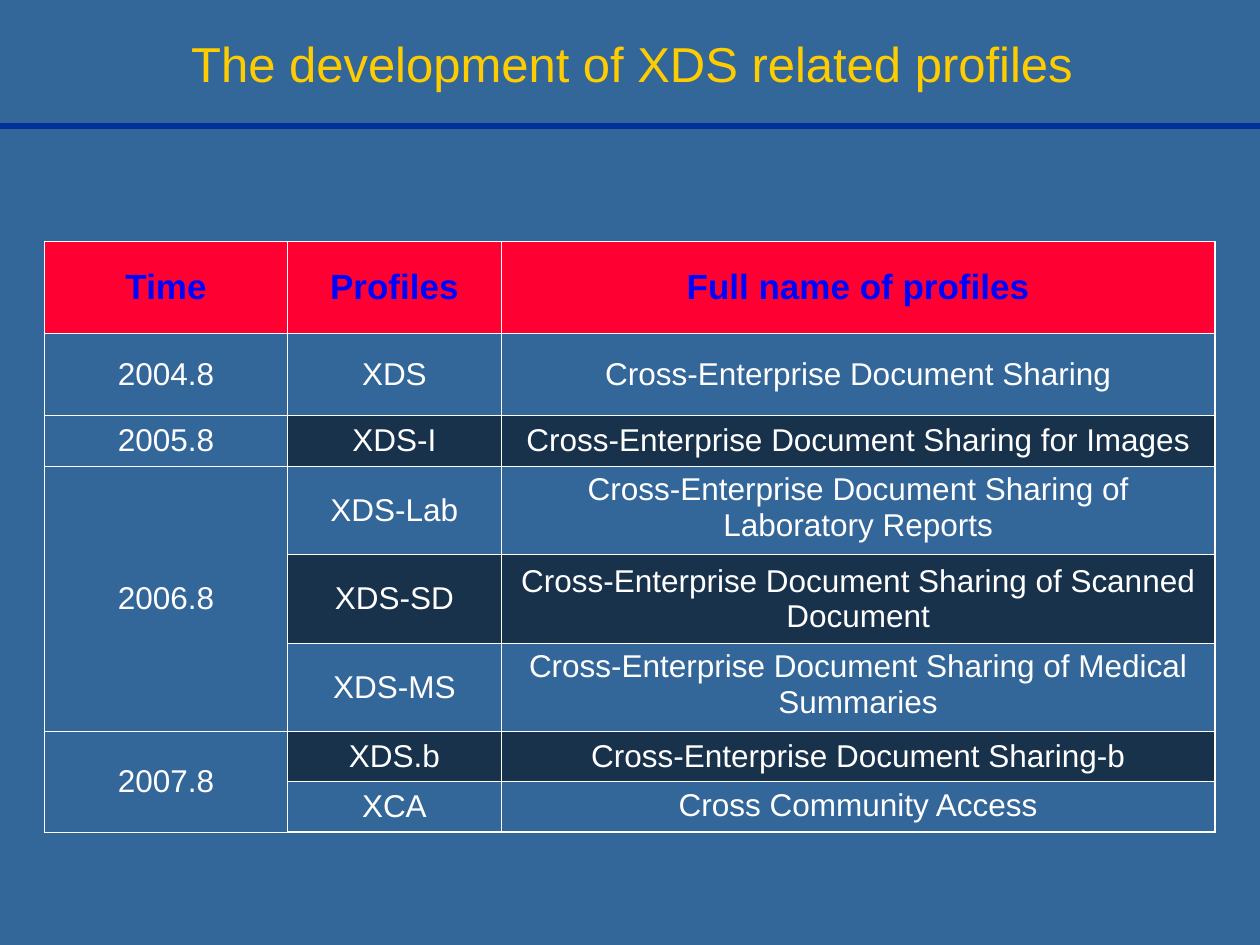
"""Build a slide with a table of XDS related profiles by date."""
from dataclasses import dataclass

from lxml import etree
from pptx import Presentation
from pptx.dml.color import RGBColor
from pptx.enum.shapes import MSO_CONNECTOR
from pptx.enum.text import MSO_ANCHOR, PP_ALIGN
from pptx.oxml.ns import qn
from pptx.slide import Slide
from pptx.table import Table, _Cell
from pptx.text.text import TextFrame
from pptx.util import Pt

STRAIGHT = MSO_CONNECTOR.STRAIGHT
MIDDLE, TOP = MSO_ANCHOR.MIDDLE, MSO_ANCHOR.TOP
CENTER = PP_ALIGN.CENTER

COLORS = {
    "background": "336699",
    "rule": "003399",
    "title": "FFCC00",
    "header_fill": "FF0033",
    "header_text": "0000FF",
    "shade": "000000",
    "text": "FFFFFF",
    "border": "FFFFFF",
}
FONT = "Arial"
SLIDE_WIDTH, SLIDE_HEIGHT = 720, 540
COLUMN_WIDTHS = (139, 122, 408)
INNER_BORDER, OUTER_BORDER = 0.45, 1.08


@dataclass(frozen=True)
class TextStyle:
    size: float
    color: str
    bold: bool = False
    space_before: float = 0


@dataclass(frozen=True)
class ProfileRow:
    time: str
    profile: str
    full_name: str
    height: float
    time_span: int = 1
    shaded: bool = False
    name_anchor: MSO_ANCHOR = MIDDLE


TITLE_STYLE = TextStyle(28, "title")
HEADER_STYLE = TextStyle(20, "header_text", True, 5)
BODY_STYLE = TextStyle(18, "text", False, 4.5)
SHARING = "Cross-Enterprise Document Sharing"

ROWS = (
    ProfileRow("Time", "Profiles", "Full name of profiles", 52.6),
    ProfileRow("2004.8", "XDS", SHARING, 46.9),
    ProfileRow("2005.8", "XDS-I", f"{SHARING} for Images", 27.4, shaded=True),
    ProfileRow("2006.8", "XDS-Lab", f"{SHARING} of Laboratory Reports", 50.7,
               time_span=3, name_anchor=TOP),
    ProfileRow("", "XDS-SD", f"{SHARING} of Scanned Document", 47.4, shaded=True),
    ProfileRow("", "XDS-MS", f"{SHARING} of Medical Summaries", 50.4, name_anchor=TOP),
    ProfileRow("2007.8", "XDS.b", f"{SHARING}-b", 27.4, time_span=2, shaded=True),
    ProfileRow("", "XCA", "Cross Community Access", 28.9, name_anchor=TOP),
)


def rgb(name: str) -> RGBColor:
    return RGBColor.from_string(COLORS[name])


def write_text(text_frame: TextFrame, text: str, style: TextStyle) -> None:
    text_frame.text = text
    paragraph = text_frame.paragraphs[0]
    paragraph.alignment = CENTER
    paragraph.space_before = Pt(style.space_before)
    for run in paragraph.runs:
        run.font.name = FONT
        run.font.size = Pt(style.size)
        run.font.bold = style.bold
        run.font.color.rgb = rgb(style.color)


def add_title(slide: Slide, text: str) -> None:
    shape = slide.shapes.add_textbox(Pt(31), Pt(15), Pt(660), Pt(42))
    text_frame = shape.text_frame
    text_frame.word_wrap = True
    text_frame.vertical_anchor = MIDDLE
    write_text(text_frame, text, TITLE_STYLE)


def add_rule(slide: Slide) -> None:
    rule = slide.shapes.add_connector(STRAIGHT, Pt(0), Pt(72), Pt(SLIDE_WIDTH), Pt(72))
    rule.line.color.rgb = rgb("rule")
    rule.line.width = Pt(3)
    etree.SubElement(rule.element.spPr, qn("a:effectLst"))


def fill_cell(cell: _Cell, is_header: bool, shaded: bool) -> None:
    if not (is_header or shaded):
        cell.fill.background()
        return
    cell.fill.solid()
    cell.fill.fore_color.rgb = rgb("header_fill" if is_header else "shade")
    if shaded:
        color = cell._tc.tcPr.find(f".//{qn('a:srgbClr')}")
        etree.SubElement(color, qn("a:alpha"), val="50000")


def add_borders(cell: _Cell, row: int, column: int) -> None:
    outer_sides = {
        "L": column == 0,
        "R": column == len(COLUMN_WIDTHS) - 1,
        "T": row == 0,
        "B": row == len(ROWS) - 1,
    }
    properties = cell._tc.get_or_add_tcPr()
    for position, (side, is_outer) in enumerate(outer_sides.items()):
        width = Pt(OUTER_BORDER if is_outer else INNER_BORDER)
        border = etree.Element(qn(f"a:ln{side}"), w=str(int(width)))
        fill = etree.SubElement(border, qn("a:solidFill"))
        etree.SubElement(fill, qn("a:srgbClr"), val=COLORS["border"])
        properties.insert(position, border)


def fill_row(table: Table, index: int, row: ProfileRow) -> None:
    table.rows[index].height = Pt(row.height)
    is_header = index == 0
    for column, text in enumerate((row.time, row.profile, row.full_name)):
        cell = table.cell(index, column)
        fill_cell(cell, is_header, row.shaded and column > 0)
        add_borders(cell, index, column)
        cell.vertical_anchor = row.name_anchor if column == 2 else MIDDLE
        if text:
            write_text(cell.text_frame, text, HEADER_STYLE if is_header else BODY_STYLE)
    if row.time_span > 1:
        table.cell(index, 0).merge(table.cell(index + row.time_span - 1, 0))


def add_profile_table(slide: Slide) -> None:
    height = sum(row.height for row in ROWS)
    shape = slide.shapes.add_table(len(ROWS), len(COLUMN_WIDTHS), Pt(25.4), Pt(138),
                                   Pt(sum(COLUMN_WIDTHS)), Pt(height))
    table = shape.table
    table.first_row = False
    table.horz_banding = False
    for column, width in zip(table.columns, COLUMN_WIDTHS):
        column.width = Pt(width)
    for index, row in enumerate(ROWS):
        fill_row(table, index, row)


def main() -> None:
    presentation = Presentation()
    presentation.slide_width = Pt(SLIDE_WIDTH)
    presentation.slide_height = Pt(SLIDE_HEIGHT)
    slide = presentation.slides.add_slide(presentation.slide_layouts[6])
    slide.background.fill.solid()
    slide.background.fill.fore_color.rgb = rgb("background")
    add_rule(slide)
    add_title(slide, "The development of XDS related profiles")
    add_profile_table(slide)
    presentation.save("out.pptx")


if __name__ == "__main__":
    main()
